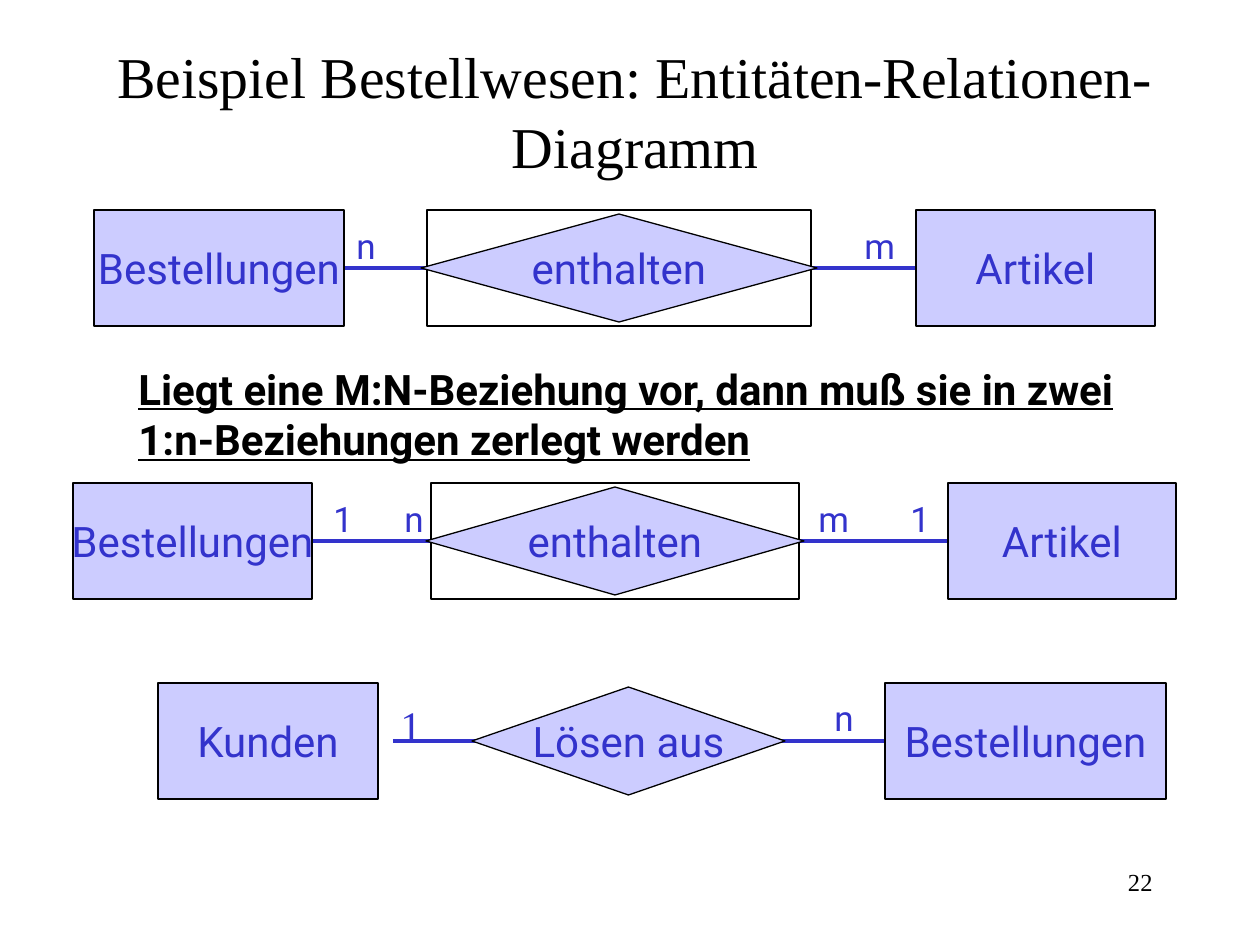
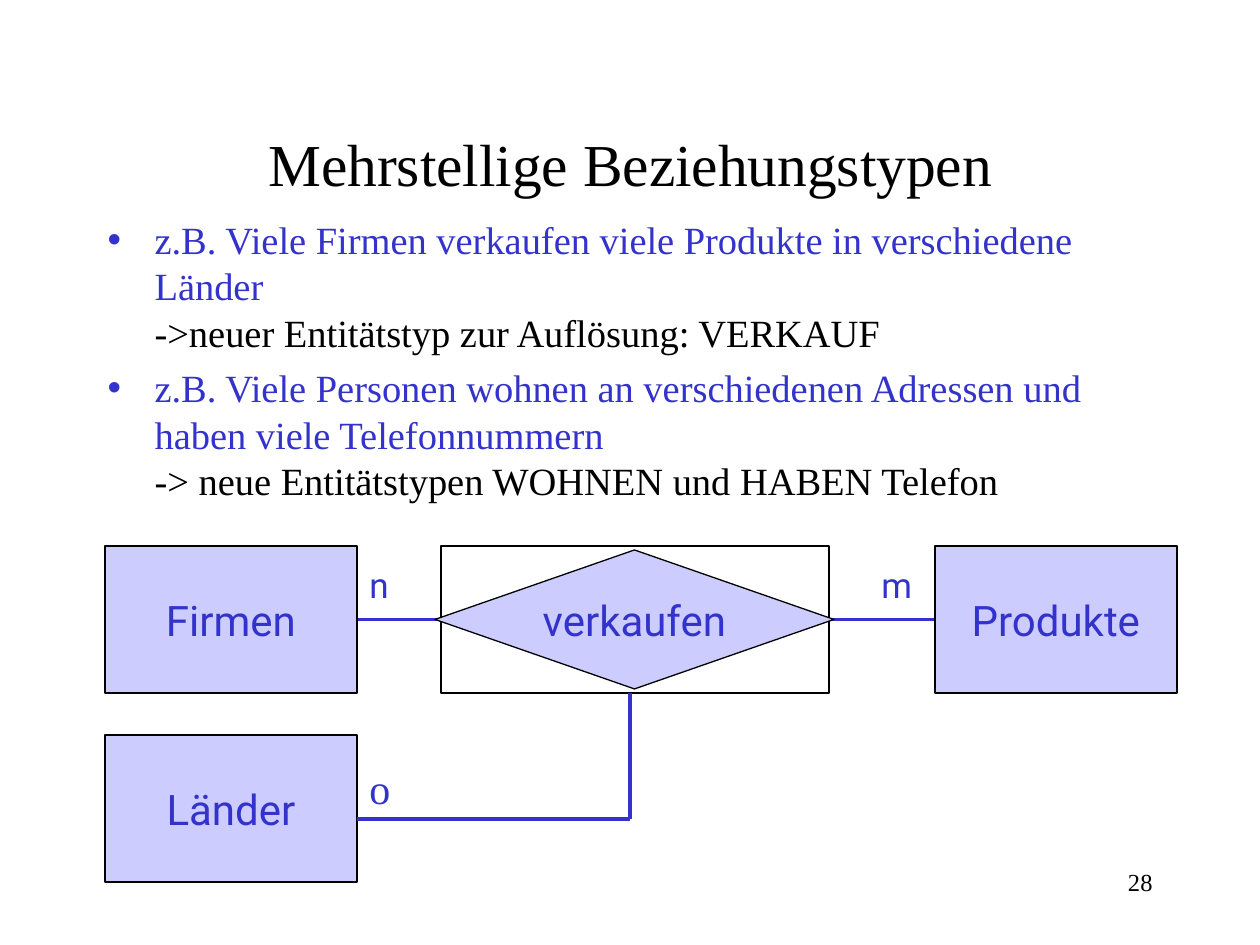
"""Build two slides on entity-relationship diagrams: an order system and multi-way relationships."""
import pptx
import pptx.util
import pptx.dml.color
import pptx.enum.shapes
import pptx.enum.text
import pptx.oxml
import pptx.oxml.ns
import lxml.etree

ALIGN = pptx.enum.text.PP_ALIGN
ANCHOR = pptx.enum.text.MSO_ANCHOR
SHAPE = pptx.enum.shapes.MSO_SHAPE
STRAIGHT = pptx.enum.shapes.MSO_CONNECTOR.STRAIGHT
qn = pptx.oxml.ns.qn

THEME = {
    "ink": pptx.dml.color.RGBColor.from_string("000000"),
    "accent": pptx.dml.color.RGBColor.from_string("3333CC"),
    "entity": pptx.dml.color.RGBColor.from_string("CCCCFF"),
    "paper": pptx.dml.color.RGBColor.from_string("FFFFFF"),
    "serif": "Times New Roman",
    "sans": "Roboto",
    "body_size": 22,
    "entity_size": 24,
    "label_size": 20,
    "number_size": 14,
    "outline": pptx.util.Pt(0.75),
    "link": pptx.util.Pt(2),
}


def px(*lengths):
    return [round(length * 914400 / 126) for length in lengths]


def write(frame, runs, font, size, align=ALIGN.LEFT, anchor=ANCHOR.TOP, wrap=True, before=0, **emphasis):
    settings = {"word_wrap": wrap, "vertical_anchor": anchor,
                "auto_size": pptx.enum.text.MSO_AUTO_SIZE.NONE}
    for name, value in settings.items():
        setattr(frame, name, value)
    paragraph = frame.paragraphs[0]
    if paragraph.runs:
        paragraph = frame.add_paragraph()
    paragraph.alignment = align
    paragraph.space_before = pptx.util.Pt(before)
    for index, (text, colour) in enumerate(runs):
        if index:
            paragraph.add_line_break()
        run = paragraph.add_run()
        run.text = text
        run.font.color.rgb = THEME[colour]
        look = {"name": font, "size": pptx.util.Pt(size), **emphasis}
        for name, value in look.items():
            setattr(run.font, name, value)
    return paragraph


deck = pptx.Presentation()
deck.slide_width, deck.slide_height = px(1260, 945)

pages = [
    {"layout": 5, "title": "Beispiel Bestellwesen: Entitäten-Relationen-Diagramm",
     "box": (84, 32, 1103, 157), "size": 33, "number": "22"},
    {"layout": 1, "title": "Mehrstellige Beziehungstypen",
     "box": (95, 84, 1071, 157), "size": 34, "number": "28"},
]
slides = []
for page in pages:
    slide = deck.slides.add_slide(deck.slide_layouts[page["layout"]])
    title = slide.shapes.title
    title.left, title.top, title.width, title.height = px(*page["box"])
    write(title.text_frame, [(page["title"], "ink")], THEME["serif"], page["size"],
          ALIGN.CENTER, ANCHOR.MIDDLE)
    page_number = slide.shapes.add_textbox(*px(903, 861, 262, 63))
    write(page_number.text_frame, [(page["number"], "ink")], THEME["serif"],
          THEME["number_size"], ALIGN.RIGHT)
    slides.append(slide)
orders, multiway = slides

rule = orders.shapes.add_textbox(*px(126, 357, 1018, 113))
write(rule.text_frame,
      [("Liegt eine M:N-Beziehung vor, dann muß sie in zwei 1:n-Beziehungen zerlegt werden", "ink")],
      THEME["sans"], THEME["entity_size"], before=15, bold=True, underline=True)

examples = multiway.placeholders[1]
examples.left, examples.top, examples.width, examples.height = px(95, 210, 1039, 336)
for example, resolution in [
    ("z.B. Viele Firmen verkaufen viele Produkte in verschiedene Länder",
     "->neuer Entitätstyp zur Auflösung: VERKAUF"),
    ("z.B. Viele Personen wohnen an verschiedenen Adressen und haben viele Telefonnummern",
     "-> neue Entitätstypen WOHNEN und HABEN Telefon"),
]:
    bullet = write(examples.text_frame, [(example, "accent"), (resolution, "ink")],
                   THEME["serif"], THEME["body_size"], before=5.5)
    properties = bullet._p.get_or_add_pPr()
    indent = px(47)[0]
    properties.set("marL", str(indent))
    properties.set("indent", str(-indent))
    bullet_colour = lxml.etree.SubElement(properties, qn("a:buClr"))
    lxml.etree.SubElement(bullet_colour, qn("a:srgbClr"), val=str(THEME["accent"]))
    lxml.etree.SubElement(properties, qn("a:buChar"), char="•")

relations = [
    {"slide": orders, "top": 210, "height": 116, "framed": True,
     "entities": [("Bestellungen", 94, 250), ("Artikel", 916, 239)],
     "relation": ("enthalten", 421, 396), "links": [(344, 427), (811, 916)]},
    {"slide": orders, "top": 483, "height": 116, "framed": True,
     "entities": [("Bestellungen", 73, 239), ("Artikel", 948, 228)],
     "relation": ("enthalten", 426, 378), "links": [(312, 431), (799, 948)]},
    {"slide": orders, "top": 683, "height": 116, "framed": False,
     "entities": [("Kunden", 158, 220), ("Bestellungen", 885, 281)],
     "relation": ("Lösen aus", 472, 313), "links": [(393, 476), (780, 885)]},
    {"slide": multiway, "top": 546, "height": 147, "framed": True,
     "entities": [("Firmen", 105, 252), ("Produkte", 935, 242)],
     "relation": ("verkaufen", 435, 399), "links": [(357, 441), (829, 935)]},
    {"slide": multiway, "top": 735, "height": 147, "framed": False,
     "entities": [("Länder", 105, 252)], "relation": None, "links": []},
]
links = []
for row in relations:
    shapes, top, height = row["slide"].shapes, row["top"], row["height"]
    middle = top + height / 2
    parts = [(SHAPE.RECTANGLE, name, left, top, width, height, "entity")
             for name, left, width in row["entities"]]
    if row["framed"]:
        (_, frame_left), (frame_right, _) = row["links"]
        parts.insert(0, (SHAPE.RECTANGLE, "", frame_left, top,
                         frame_right - frame_left, height, "paper"))
    for start, end in row["links"]:
        link = shapes.add_connector(STRAIGHT, *px(start, middle, end, middle))
        links.append(link)
    if row["relation"]:
        name, left, width = row["relation"]
        parts.append((SHAPE.FLOWCHART_DECISION, name, left, top + 4, width, height - 8, "entity"))
    row_links = links[len(links) - len(row["links"]):]
    for kind, name, left, part_top, width, part_height, fill in parts:
        part = shapes.add_shape(kind, *px(left, part_top, width, part_height))
        part.shadow.inherit = False
        part.fill.solid()
        part.fill.fore_color.rgb = THEME[fill]
        part.line.color.rgb = THEME["ink"]
        part.line.width = THEME["outline"]
        if name:
            write(part.text_frame, [(name, "accent")], THEME["sans"], THEME["entity_size"],
                  ALIGN.CENTER, ANCHOR.MIDDLE, wrap=False)
        else:
            tint = part._element.spPr.find(qn("a:solidFill"))[0]
            lxml.etree.SubElement(tint, qn("a:alpha"), val="50000")
        if kind == SHAPE.RECTANGLE:
            for link, (start, end) in zip(row_links, row["links"]):
                if start == left + width:
                    link.begin_connect(part, 3)
                if end == left:
                    link.end_connect(part, 1)

for corner in [(357, 819, 630, 819), (630, 693, 630, 819)]:
    links.append(multiway.shapes.add_connector(STRAIGHT, *px(*corner)))
for link in links:
    link.line.color.rgb = THEME["accent"]
    link.line.width = THEME["link"]
    lxml.etree.SubElement(link._element.spPr, qn("a:effectLst"))

cardinalities = [
    (orders, "n", 344, 218, 34, "sans", "label_size"),
    (orders, "m", 852, 218, 58, "sans", "label_size"),
    (orders, "1", 321, 491, 33, "sans", "label_size"),
    (orders, "n", 392, 491, 33, "sans", "label_size"),
    (orders, "m", 806, 491, 58, "sans", "label_size"),
    (orders, "1", 898, 491, 43, "sans", "label_size"),
    (orders, "1", 388, 693, 34, "serif", "entity_size"),
    (orders, "n", 822, 690, 47, "sans", "label_size"),
    (multiway, "n", 357, 557, 34, "sans", "label_size"),
    (multiway, "m", 869, 557, 58, "sans", "label_size"),
    (multiway, "o", 357, 756, 53, "serif", "entity_size"),
]
for slide, cardinality, left, top, width, font, size in cardinalities:
    label = slide.shapes.add_textbox(*px(left, top, width, 55))
    write(label.text_frame, [(cardinality, "accent")], THEME[font], THEME[size], before=12.5)

deck.save("out.pptx")
